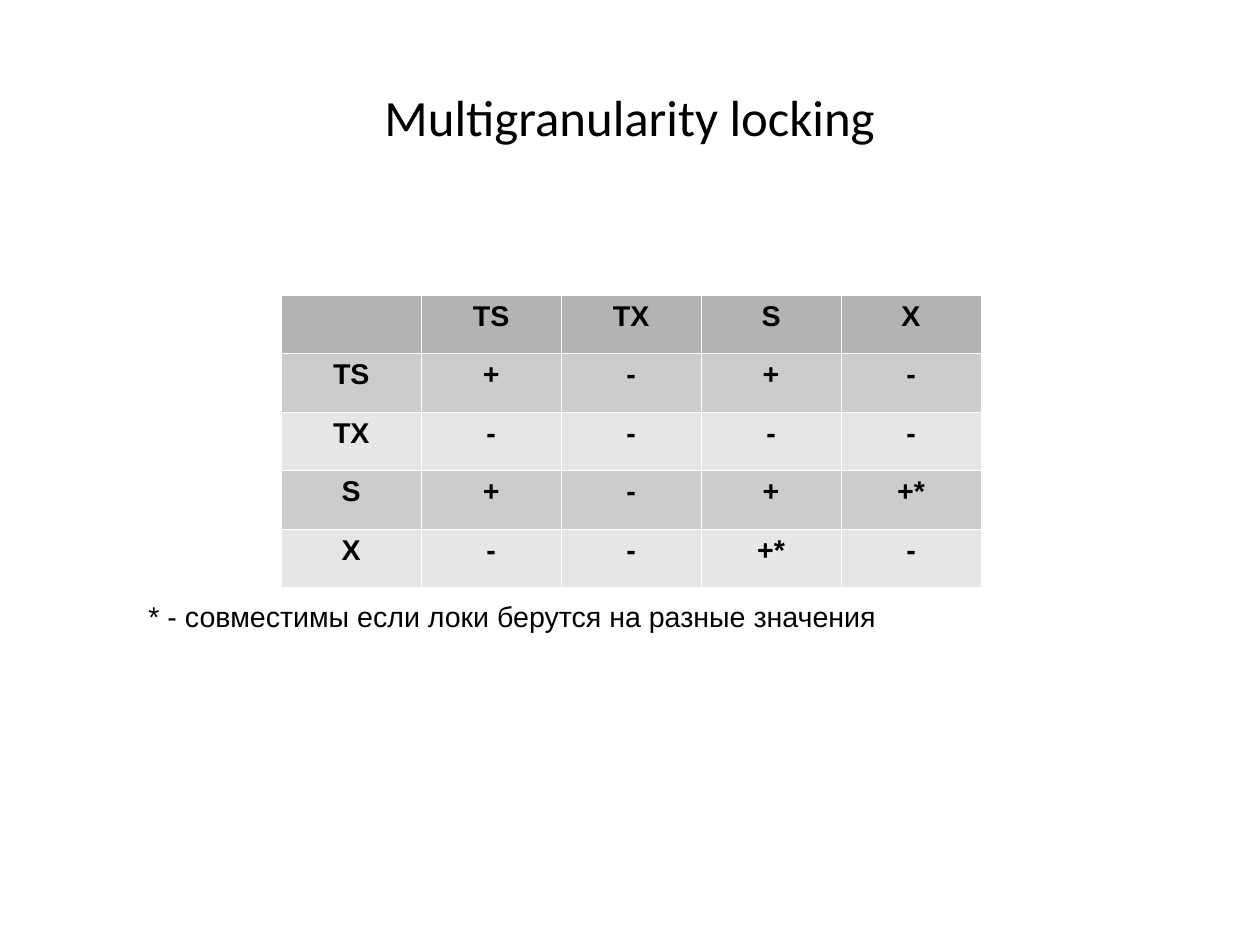
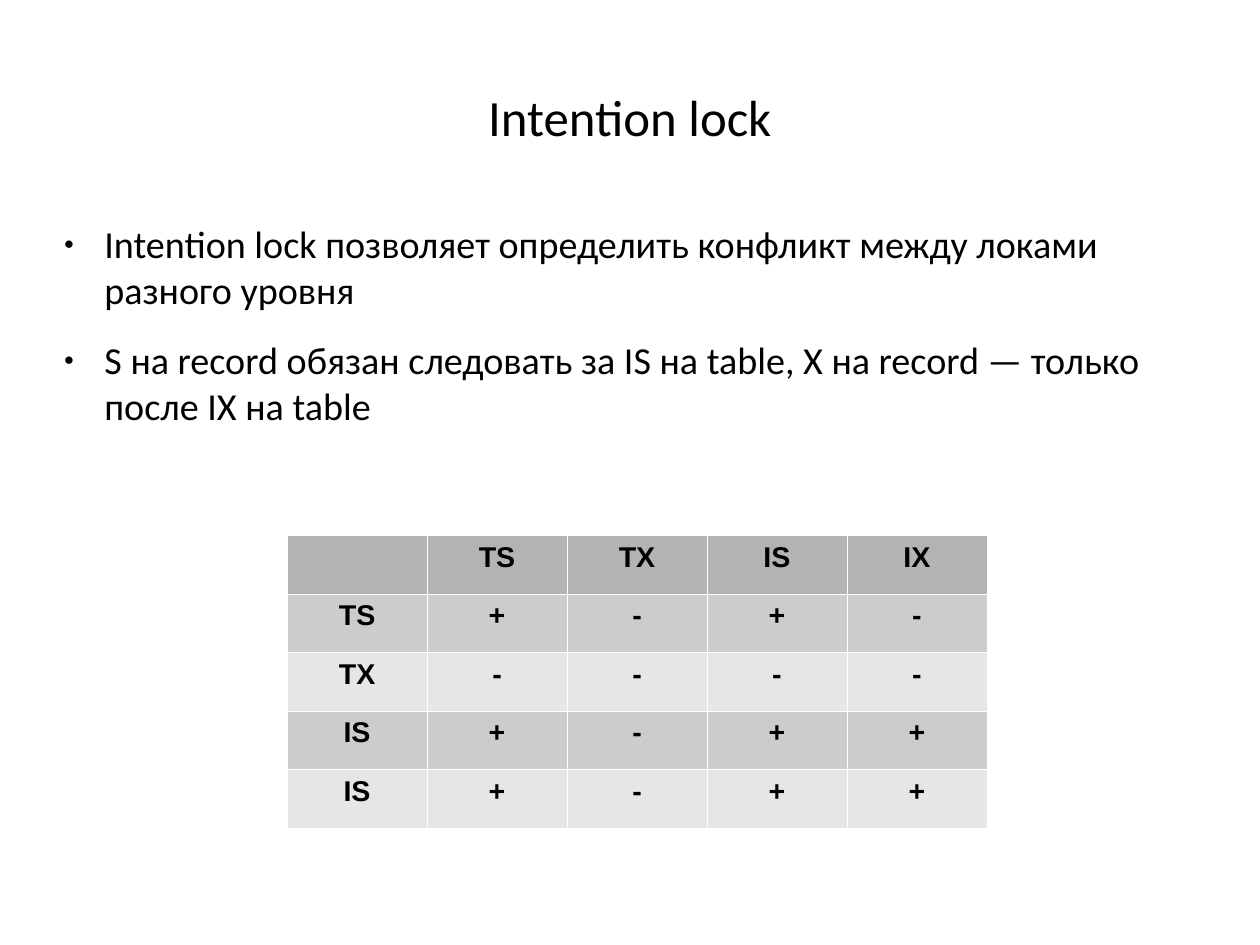
from lxml import etree
from pptx import Presentation
from pptx.dml.color import RGBColor
from pptx.enum.text import MSO_ANCHOR as Anchor, MSO_AUTO_SIZE as AutoSize, PP_ALIGN as Align
from pptx.oxml.ns import qn
from pptx.util import Cm, Pt

BLACK, WHITE = "000000", "FFFFFF"
HEADER_FILL, BAND_FILLS = "B3B3B3", ("CCCCCC", "E6E6E6")
TITLE_FONT, TABLE_FONT = "Calibri", "Arial"
COLUMN_WIDTH, ROW_HEIGHT = Cm(3.11), Cm(1.3)
BORDER_WIDTH = Pt(0.06)
TITLE_AND_CONTENT, TITLE_ONLY = 1, 5


def color(hex_string):
    return RGBColor.from_string(hex_string)


def format_runs(paragraph, font_name, size, bold=False):
    for run in paragraph.runs:
        run.font.name = font_name
        run.font.size = Pt(size)
        run.font.bold = bold
        run.font.color.rgb = color(BLACK)


slides = [
    {
        "title": "Multigranularity locking",
        "bullets": [],
        "table_at": (Cm(6.25), Cm(6.55)),
        "locks": [
            ["", "TS", "TX", "S", "X"],
            ["TS", "+", "-", "+", "-"],
            ["TX", "-", "-", "-", "-"],
            ["S", "+", "-", "+", "+*"],
            ["X", "-", "-", "+*", "-"],
        ],
        "note": "* - совместимы если локи берутся на разные значения",
    },
    {
        "title": "Intention lock",
        "bullets": [
            "Intention lock позволяет определить конфликт между локами разного уровня",
            "S на record обязан следовать за IS на table, X на record — только после IX на table",
        ],
        "table_at": (Cm(6.38), Cm(11.9)),
        "locks": [
            ["", "TS", "TX", "IS", "IX"],
            ["TS", "+", "-", "+", "-"],
            ["TX", "-", "-", "-", "-"],
            ["IS", "+", "-", "+", "+"],
            ["IS", "+", "-", "+", "+"],
        ],
        "note": "",
    },
]

presentation = Presentation()
presentation.slide_width, presentation.slide_height = Cm(28), Cm(21)

for content in slides:
    layout = TITLE_AND_CONTENT if content["bullets"] else TITLE_ONLY
    slide = presentation.slides.add_slide(presentation.slide_layouts[layout])

    # Title
    title = slide.shapes.title
    title.left, title.top, title.width, title.height = Cm(1.4), Cm(0.84), Cm(25.2), Cm(3.5)
    frame = title.text_frame
    frame.text = content["title"]
    frame.margin_left = frame.margin_top = frame.margin_right = frame.margin_bottom = 0
    frame.vertical_anchor = Anchor.MIDDLE
    frame.auto_size = AutoSize.NONE
    frame.paragraphs[0].alignment = Align.CENTER
    format_runs(frame.paragraphs[0], TITLE_FONT, 32)

    # Bullet list
    if content["bullets"]:
        body = slide.placeholders[1]
        body.left, body.top, body.width, body.height = Cm(1.12), Cm(4.9), Cm(25.2), Cm(13.87)
        frame = body.text_frame
        frame.text = "\n".join(content["bullets"])
        frame.margin_left = frame.margin_top = frame.margin_right = frame.margin_bottom = 0
        frame.auto_size = AutoSize.NONE
        for paragraph in frame.paragraphs:
            paragraph.space_before, paragraph.space_after = Pt(0), Pt(15.6)
            properties = paragraph._p.get_or_add_pPr()
            properties.set("marL", str(Cm(1.2)))
            properties.set("indent", str(Cm(-0.9)))
            bullet_color = etree.SubElement(properties, qn("a:buClr"))
            etree.SubElement(bullet_color, qn("a:srgbClr"), val=BLACK)
            etree.SubElement(properties, qn("a:buSzPct"), val="45000")
            etree.SubElement(properties, qn("a:buChar"), char="●")
            format_runs(paragraph, TITLE_FONT, 24)

    # Lock compatibility table
    locks = content["locks"]
    row_count, column_count = len(locks), len(locks[0])
    table = slide.shapes.add_table(row_count, column_count, *content["table_at"],
                                   COLUMN_WIDTH * column_count, ROW_HEIGHT * row_count).table
    for row_index, row in enumerate(locks):
        fill = BAND_FILLS[(row_index - 1) % 2] if row_index else HEADER_FILL
        for column_index, text in enumerate(row):
            cell = table.cell(row_index, column_index)
            cell.text = text
            cell.fill.solid()
            cell.fill.fore_color.rgb = color(fill)
            paragraph = cell.text_frame.paragraphs[0]
            paragraph.alignment = Align.CENTER
            format_runs(paragraph, TABLE_FONT, 18, bold=True)
            properties = cell._tc.get_or_add_tcPr()
            for position, side in enumerate(("lnL", "lnR", "lnT", "lnB")):
                border = etree.Element(qn(f"a:{side}"), w=str(BORDER_WIDTH))
                border_fill = etree.SubElement(border, qn("a:solidFill"))
                etree.SubElement(border_fill, qn("a:srgbClr"), val=WHITE)
                properties.insert(position, border)

    # Note below the table
    if content["note"]:
        note = slide.shapes.add_textbox(Cm(3.05), Cm(13.18), Cm(18.36), Cm(1.3))
        note.text_frame.word_wrap = True
        note.text_frame.text = content["note"]
        format_runs(note.text_frame.paragraphs[0], TABLE_FONT, 18)

presentation.save("out.pptx")
